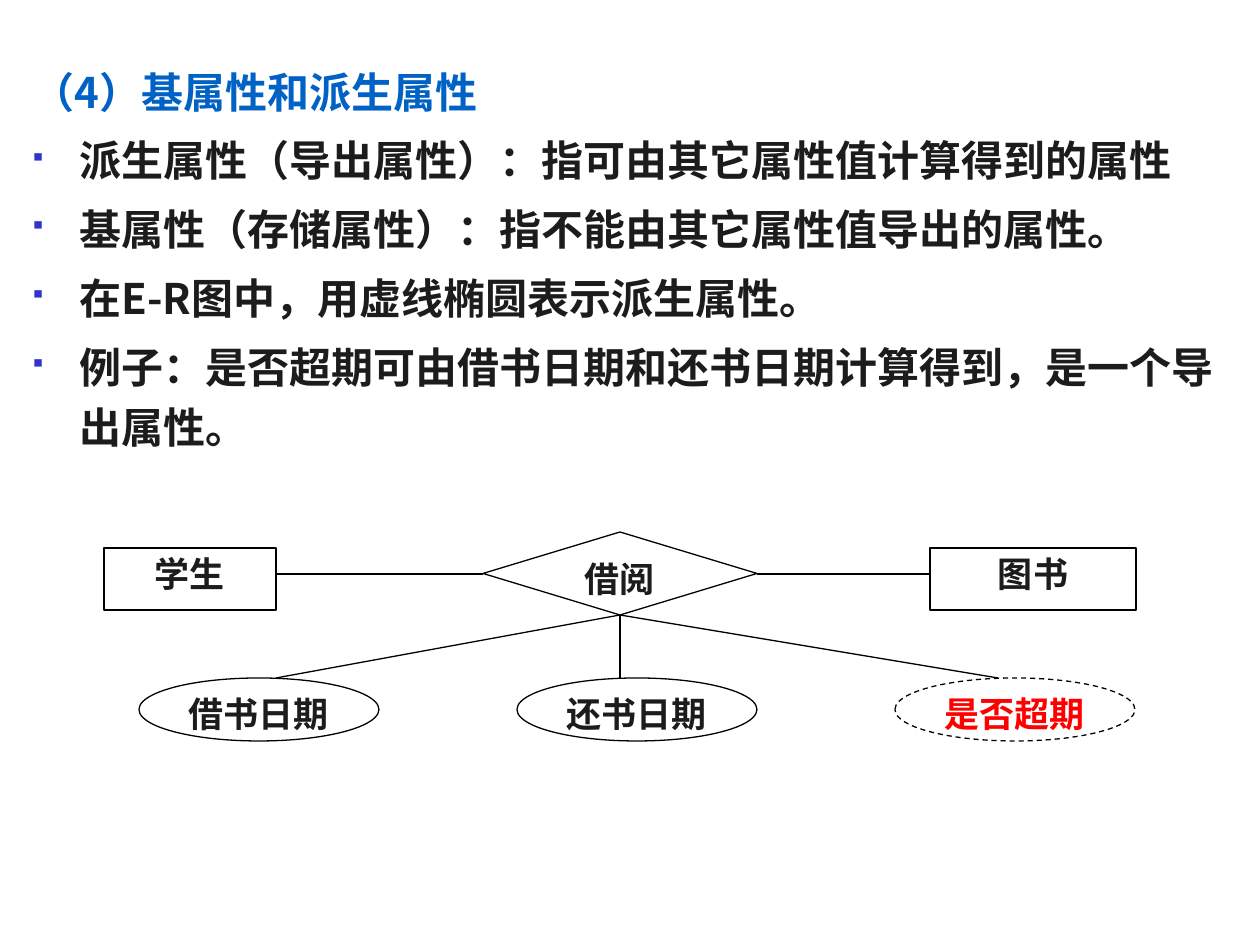
from dataclasses import dataclass

from lxml import etree
from pptx import Presentation, util as u
from pptx.dml.color import RGBColor
from pptx.enum import dml, shapes, text
from pptx.oxml import ns

SCALE = 914400 / 126  # EMU per px


def px(n):
    return u.Emu(round(n * SCALE))


@dataclass(frozen=True)
class Theme:
    font: str = "Noto Sans CJK SC"
    bullet_font: str = "Wingdings"
    heading: str = "0062C4"
    ink: str = "1C1C1C"
    bullet: str = "3333CC"
    derived: str = "FF0000"
    line: str = "000000"
    paper: str = "FFFFFF"
    body_size: int = 24
    label_size: int = 20
    line_width: float = 0.75


class Painter:
    def __init__(self, prs, theme):
        self.theme = theme
        self.slide = prs.slides.add_slide(prs.slide_layouts[6])
        self.group = self.slide.shapes.add_group_shape

    def style(self, p, size, color):
        for r in p.runs:
            f = r.font
            f.name, f.size, f.bold = self.theme.font, u.Pt(size), True
            f.color.rgb = RGBColor.from_string(color)
            ea = etree.SubElement(r._r.get_or_add_rPr(), ns.qn("a:ea"))
            ea.set("typeface", self.theme.font)

    def bullet(self, p):
        pPr = p._p.get_or_add_pPr()
        color = etree.SubElement(pPr, ns.qn("a:buClr"))
        etree.SubElement(color, ns.qn("a:srgbClr")).set("val", self.theme.bullet)
        etree.SubElement(pPr, ns.qn("a:buSzPct")).set("val", "60000")
        font = etree.SubElement(pPr, ns.qn("a:buFont"))
        font.set("typeface", self.theme.bullet_font)
        font.set("charset", "2")
        # Small square in the symbol font
        etree.SubElement(pPr, ns.qn("a:buChar")).set("char", "§")

    def body(self, x, y, w, h, heading, items):
        t = self.theme
        tf = self.slide.shapes.add_textbox(px(x), px(y), px(w), px(h)).text_frame
        tf.word_wrap = True
        tf.margin_top = px(7)
        tf.text = "\n".join([heading, *items])
        for i, p in enumerate(tf.paragraphs):
            pPr = p._p.get_or_add_pPr()
            pPr.set("marL", str(px(47)))
            pPr.set("indent", str(px(-47)))
            p.line_spacing = 1.2
            if i:
                p.space_before = u.Pt(4.8)
                self.bullet(p)
            self.style(p, t.body_size, t.ink if i else t.heading)

    def outline(self, line):
        line.color.rgb = RGBColor.from_string(self.theme.line)
        line.width = u.Pt(self.theme.line_width)

    def node(self, group, kind, x, y, w, h, label, derived=False):
        t = self.theme
        sp = group.shapes.add_shape(kind, px(x), px(y), px(w), px(h))
        sp.shadow.inherit = False
        sp.fill.solid()
        sp.fill.fore_color.rgb = RGBColor.from_string(t.paper)
        self.outline(sp.line)
        if derived:
            sp.line.dash_style = dml.MSO_LINE.DASH
        tf = sp.text_frame
        tf.margin_top = tf.margin_bottom = px(5)
        tf.vertical_anchor = text.MSO_ANCHOR.TOP
        tf.text = label
        p = tf.paragraphs[0]
        p.alignment = text.PP_ALIGN.CENTER
        self.style(p, t.label_size, t.derived if derived else t.ink)

    def link(self, group, x1, y1, x2, y2):
        c = group.shapes.add_connector(
            shapes.MSO_CONNECTOR.STRAIGHT, px(x1), px(y1), px(x2), px(y2))
        self.outline(c.line)
        etree.SubElement(c._element.spPr, ns.qn("a:effectLst"))


def main():
    prs = Presentation()
    prs.slide_width, prs.slide_height = px(1260), px(945)
    s = Painter(prs, Theme())

    # Definitions
    s.body(20, 49, 1235, 452, "（4）基属性和派生属性", [
        "派生属性（导出属性）：指可由其它属性值计算得到的属性",
        "基属性（存储属性）：指不能由其它属性值导出的属性。",
        "在E-R图中，用虚线椭圆表示派生属性。",
        "例子：是否超期可由借书日期和还书日期计算得到，是一个导出属性。",
    ])

    # E-R diagram: entities and relationship
    er = s.group()
    kind = shapes.MSO_SHAPE
    s.node(er, kind.RECTANGLE, 104, 548, 172, 62, "学生")
    s.node(er, kind.RECTANGLE, 930, 548, 206, 62, "图书")
    s.node(er, kind.DIAMOND, 483, 532, 274, 83, "借阅")

    # Attributes, the derived one dashed
    for i, label in enumerate(["借书日期", "还书日期", "是否超期"]):
        s.node(er, kind.OVAL, 139 + 378 * i, 678, 240, 63, label, derived=i == 2)

    # Links
    for x1, x2 in [(276, 483), (757, 930)]:
        s.link(er, x1, 574, x2, 574)
    for x in (276, 620, 998):
        s.link(er, 620, 615, x, 678)

    prs.save("out.pptx")


if __name__ == "__main__":
    main()
